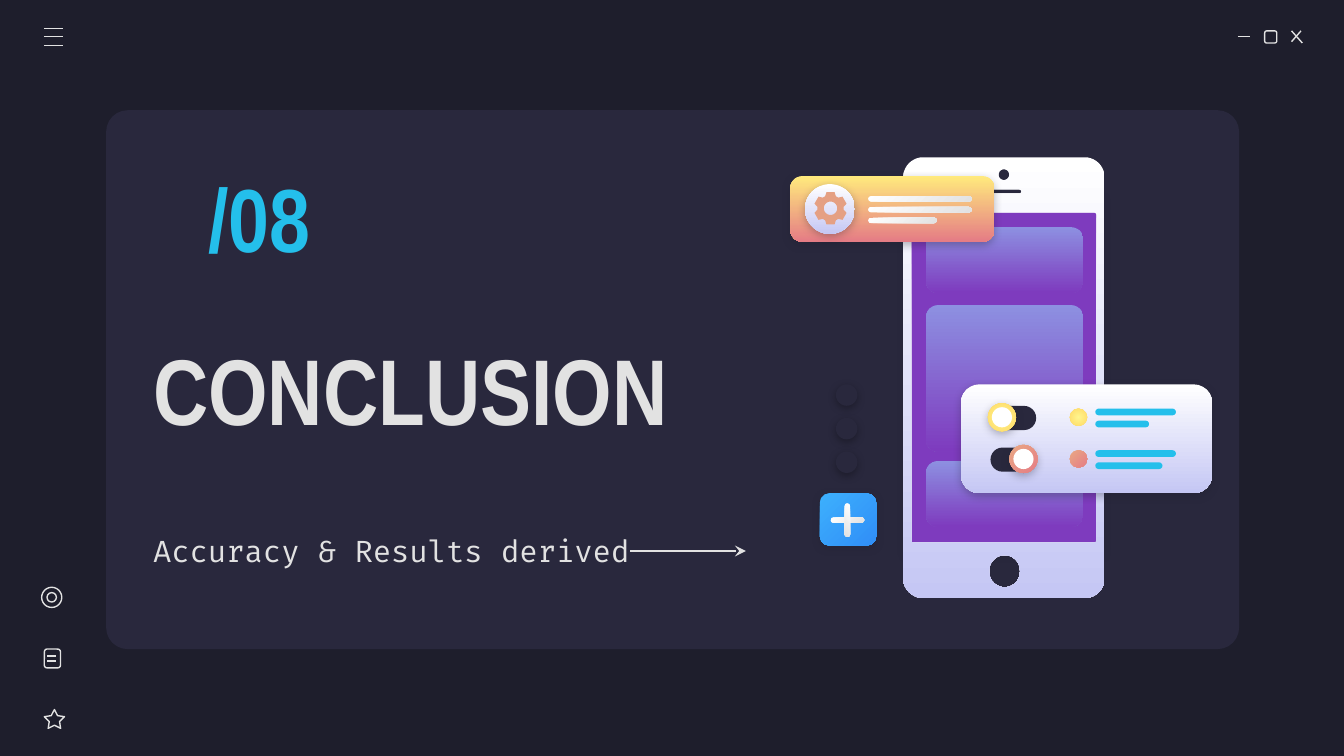
from math import cos, radians, sin

from lxml.etree import SubElement
from pptx import Presentation
from pptx.dml.color import RGBColor
from pptx.enum.shapes import MSO_CONNECTOR as Connector, MSO_SHAPE as Preset
from pptx.enum.text import MSO_ANCHOR as Anchor, MSO_AUTO_SIZE as AutoSize, PP_ALIGN as Align
from pptx.oxml.ns import qn
from pptx.util import Inches, Pt

# Palette: a fill is a colour, or (first, last, clockwise angle or "radial")
DARK, PANEL, LIGHT, CYAN, PURPLE = "1E1E2C", "29283D", "E2E2E2", "24BFEB", "7E3BBE"
CARD = ("8D90E1", PURPLE, 90)
SILVER = ("FFFFFF", "C5C7F4", 90)
BAR = ("FFFFFF", LIGHT, 45)
YELLOW = ("FFF68E", "FFD966", "radial")
CORAL = ("E9A984", "E57C85", 45)
ROUND, OVAL = Preset.ROUNDED_RECTANGLE, Preset.OVAL

# Text: box, words, alignment, font
TITLE = ((1.04, 2.07, 5.05, 1.64), "CONCLUSION", Align.LEFT,
         dict(name="Arial Narrow", size=Pt(50), bold=True), LIGHT)
NUMBER = ((1.04, 1.15, 1.78, 0.92), "/08", Align.CENTER,
          dict(name="Arial Narrow", size=Pt(48), bold=True), CYAN)
SUBTITLE = ((1.04, 3.71, 3.99, 0.78), "Accuracy & Results derived", Align.LEFT,
            dict(name="Fira Code", size=Pt(16), bold=False), LIGHT)

# Icons: outlined shapes (preset, box, corner) and lines (from x, y, to x, y)
WINDOW = ([(ROUND, (9.41, 0.23, 0.09, 0.09), 0.167)],
          [(9.21, 0.27, 9.3, 0.27), (9.61, 0.23, 9.69, 0.32), (9.68, 0.23, 9.61, 0.31)])
MENU = ([], [(0.33, y, 0.47, y) for y in (0.21, 0.27, 0.34)])
SIDEBAR = ([(Preset.STAR_5_POINT, (0.33, 5.28, 0.15, 0.14), 0.254),
            (ROUND, (0.33, 4.83, 0.12, 0.14), 0.167),
            (OVAL, (0.31, 4.37, 0.15, 0.15), None),
            (OVAL, (0.35, 4.41, 0.07, 0.07), None)],
           [(0.35, y, 0.42, y) for y in (4.88, 4.92)])

# Phone parts: preset, box, corner, fill, shadow colour
SCREEN = [(ROUND, (6.74, 1.47, 1.46, 2.63), 0, PURPLE, DARK)] + [
    (ROUND, (6.89, top, 1.17, height), round(0.09 / height, 3), CARD, None)
    for top, height in ((1.69, 0.49), (2.27, 1.09), (3.43, 0.49))]
BANNER = [(ROUND, (5.88, 1.31, 1.52, 0.49), 0.187, ("FFEA7D", "E57C85", 90), DARK),
          (OVAL, (5.99, 1.37, 0.37, 0.37), None, SILVER, DARK)]
BANNER_BARS = [(ROUND, (6.46, 1.46 + 0.08 * row, width, 0.04), 0.5, BAR, None)
               for row, width in enumerate((0.77, 0.77, 0.51))]
SETTINGS = [(ROUND, (7.15, 2.86, 1.87, 0.81), 0.17, SILVER, DARK)]
for row_top, knob_left, knob_fill, short_bar in ((3, 7.35, YELLOW, 0.4), (3.31, 7.51, CORAL, 0.5)):
    SETTINGS += [
        (ROUND, (7.37, row_top + 0.02, 0.34, 0.18), 0.5, PANEL, None),
        (OVAL, (knob_left, row_top, 0.21, 0.21), None, knob_fill, DARK),
        (OVAL, (knob_left + 0.03, row_top + 0.03, 0.15, 0.15), None, "FFFFFF", None),
        (OVAL, (7.96, row_top + 0.04, 0.13, 0.13), None, knob_fill, None),
        (ROUND, (8.15, row_top + 0.04, 0.6, 0.05), 0.5, CYAN, None),
        (ROUND, (8.15, row_top + 0.13, short_bar, 0.05), 0.5, CYAN, None)]
ADD_BUTTON = [(ROUND, (6.1, 3.67, 0.42, 0.39), 0.183, ("3DB0FD", "308EF7", 45), DARK)]
PLUS_BAR = (ROUND, (6.18, 3.85, 0.25, 0.04), 0.5, BAR, None)
DOTS = [(OVAL, (6.22, 2.86 + 0.25 * row, 0.16, 0.16), None, PANEL, "000000") for row in range(3)]

# Phone case: outer edge, then openings (left, top, width, height, radius)
CASE = (6.72, 1.17, 1.5, 3.28, 0.15)
OPENINGS = [(7.43, 1.26, 0.08, 0.08, 0.04), (7.35, 1.41, 0.25, 0.03, 0.015),
            (6.78, 1.58, 1.38, 2.46, 0.02), (7.36, 4.13, 0.23, 0.24, 0.115)]
GEAR_CENTRE, GEAR_HOLE = (6.18, 1.55), (6.13, 1.5, 0.1, 0.1, 0.05)


def color(value):
    return RGBColor.from_string(value)


def paint(shape, fill, shadow=None):
    """Fill a borderless shape and give it an optional soft shadow."""
    shape.line.fill.background()
    if isinstance(fill, str):
        shape.fill.solid()
        shape.fill.fore_color.rgb = color(fill)
    else:
        first, last, angle = fill
        shape.fill.gradient()
        for stop, value in zip(shape.fill.gradient_stops, (first, last)):
            stop.color.rgb = color(value)
        if angle == "radial":
            gradient = shape._element.spPr.find(qn("a:gradFill"))
            gradient.remove(gradient.find(qn("a:lin")))
            circle = SubElement(gradient, qn("a:path"), path="circle")
            SubElement(circle, qn("a:fillToRect"), dict.fromkeys("ltrb", "50000"))
        else:
            shape.fill.gradient_angle = 360 - angle
    shape.shadow.inherit = False
    if shadow:
        effects = shape._element.spPr.find(qn("a:effectLst"))
        outer = SubElement(effects, qn("a:outerShdw"), blurRad=str(Pt(4.5)), dist=str(Pt(1.5)),
                           dir="5400000", algn="bl", rotWithShape="0")
        tint = SubElement(outer, qn("a:srgbClr"), val=shadow)
        SubElement(tint, qn("a:alpha"), val="30000")


def add_preset(shapes, preset, box, corner):
    shape = shapes.add_shape(preset, *map(Inches, box))
    if corner is not None:
        shape.adjustments[0] = corner
    return shape


def add_part(shapes, preset, box, corner, fill, shadow):
    shape = add_preset(shapes, preset, box, corner)
    paint(shape, fill, shadow)
    return shape


def add_parts(shapes, parts):
    for part in parts:
        add_part(shapes, *part)


def add_line(shapes, ends):
    line = shapes.add_connector(Connector.STRAIGHT, *map(Inches, ends))
    line.line.color.rgb = color(LIGHT)
    line.line.width = Pt(0.75)
    SubElement(line._element.spPr, qn("a:effectLst"))
    return line


def add_icons(shapes, outlines, lines):
    for outline in outlines:
        shape = add_preset(shapes, *outline)
        shape.fill.background()
        shape.line.color.rgb = color(LIGHT)
        shape.line.width = Pt(0.75)
        shape.shadow.inherit = False
    for ends in lines:
        add_line(shapes, ends)


def polar(centre, radius, angle):
    return centre[0] + radius * cos(radians(angle)), centre[1] + radius * sin(radians(angle))


def rounded(left, top, width, height, radius):
    """Points of a rounded rectangle, clockwise from the right side."""
    near_x, far_x = left + radius, left + width - radius
    near_y, far_y = top + radius, top + height - radius
    centres = ((far_x, far_y), (near_x, far_y), (near_x, near_y), (far_x, near_y))
    return [polar(centre, radius, 90 * quarter + step)
            for quarter, centre in enumerate(centres) for step in range(0, 91, 9)]


def add_cutout(shapes, edge, holes, fill):
    """Outline with openings; holes run the other way round."""
    contours = [[(Inches(x), Inches(y)) for x, y in points]
                for points in [edge] + [rounded(*hole)[::-1] for hole in holes]]
    builder = shapes.build_freeform(*contours[0][0], scale=1.0)
    for index, points in enumerate(contours):
        if index:
            builder.move_to(*points[0])
        builder.add_line_segments(points[1:], close=True)
    paint(builder.convert_to_shape(), fill)


def write(shape, box, words, alignment, font, text_color):
    shape.left, shape.top, shape.width, shape.height = map(Inches, box)
    frame = shape.text_frame
    layout = dict(word_wrap=True, auto_size=AutoSize.NONE, vertical_anchor=Anchor.MIDDLE)
    layout.update({f"margin_{side}": Inches(0.1) for side in ("left", "top", "right", "bottom")})
    for name, value in layout.items():
        setattr(frame, name, value)
    paragraph = frame.paragraphs[0]
    paragraph.alignment = alignment
    run = paragraph.add_run()
    run.text = words
    for name, value in font.items():
        setattr(run.font, name, value)
    run.font.color.rgb = color(text_color)


# Widescreen slide, 16 to 9
presentation = Presentation()
presentation.slide_width = Inches(10)
presentation.slide_height = Inches(10) * 9 // 16
slide = presentation.slides.add_slide(presentation.slide_layouts[5])
slide.background.fill.solid()
slide.background.fill.fore_color.rgb = color(DARK)
shapes = slide.shapes

# Panel and window icons
add_part(shapes, ROUND, (0.79, 0.82, 8.43, 4.01), 0.04, PANEL, None)
for icons in (WINDOW, MENU, SIDEBAR):
    add_icons(shapes.add_group_shape().shapes, *icons)

# Text, with the title raised above the panel
title = shapes.title
shapes._spTree.append(title._element)
write(title, *TITLE)
for text in (NUMBER, SUBTITLE):
    write(shapes.add_textbox(0, 0, 0, 0), *text)
arrow = add_line(shapes, (4.69, 4.1, 5.55, 4.1))
SubElement(arrow.line._get_or_add_ln(), qn("a:tailEnd"), type="stealth")

# Phone illustration, from back to front
phone = shapes.add_group_shape().shapes
add_parts(phone, SCREEN)
add_cutout(phone, rounded(*CASE), OPENINGS, SILVER)
add_parts(phone, BANNER)
gear = [polar(GEAR_CENTRE, radius, tooth + offset) for tooth in range(30, 390, 60)
        for radius, offset in ((0.098, -24), (0.124, -14), (0.124, 14), (0.098, 24))]
add_cutout(phone, gear, [GEAR_HOLE], "E5A083")
add_parts(phone, BANNER_BARS + SETTINGS + ADD_BUTTON)
for rotation in (0, 90):
    add_part(phone, *PLUS_BAR).rotation = rotation
add_parts(phone, DOTS)

presentation.save("out.pptx")
